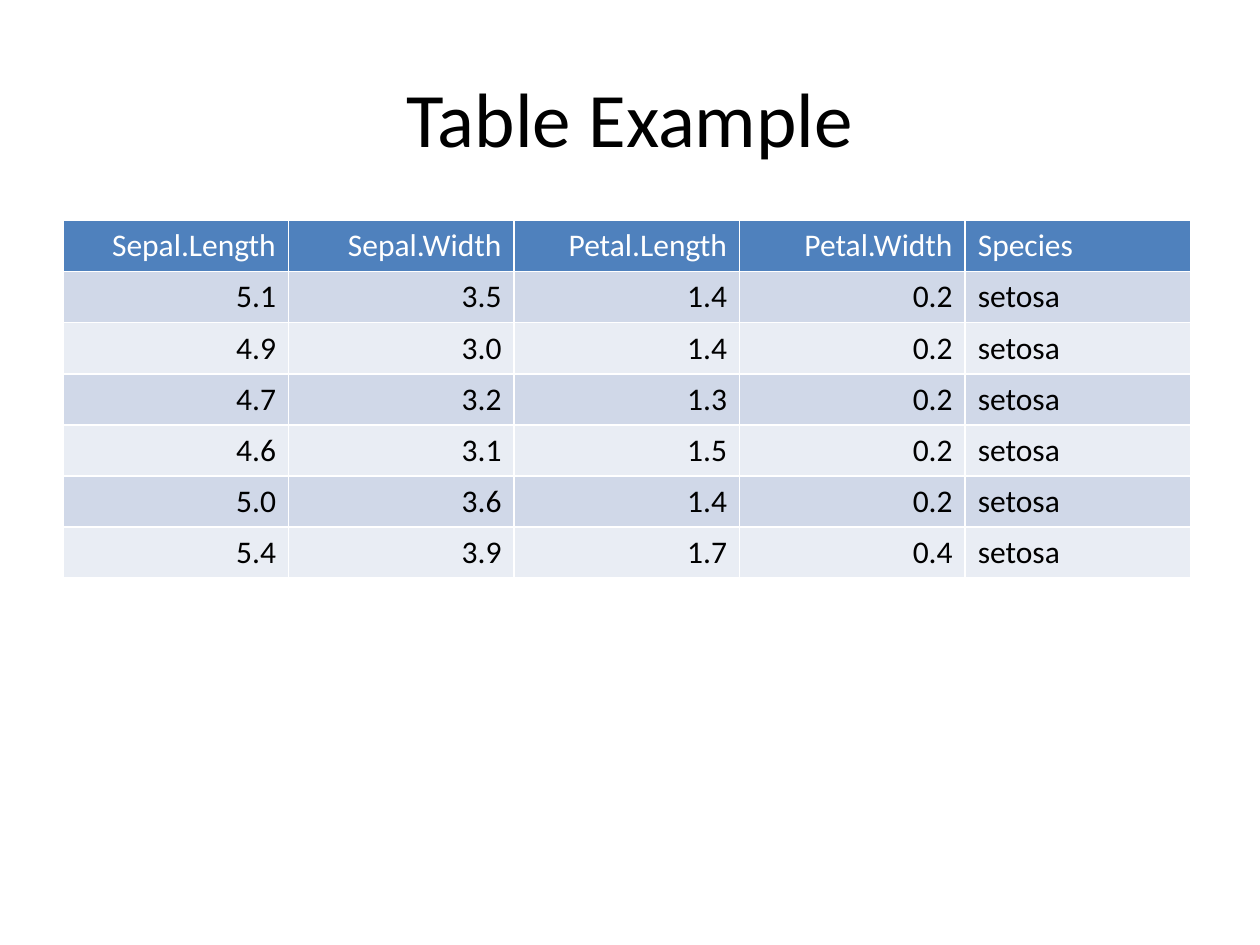
"""Build a slide with a title and a banded table of flower measurements."""
from lxml.etree import SubElement
from pptx import Presentation
from pptx.dml.color import RGBColor
from pptx.enum.text import MSO_ANCHOR, PP_ALIGN
from pptx.oxml.ns import qn
from pptx.util import Pt

WHITE = RGBColor(0xFF, 0xFF, 0xFF)
BLACK = RGBColor(0x00, 0x00, 0x00)
HEADER_BLUE = RGBColor(0x4F, 0x81, 0xBD)
BANDS = (RGBColor(0xE9, 0xED, 0xF4), RGBColor(0xD0, 0xD8, 0xE8))
FONT = "Calibri"

ROWS = (
    ("Sepal.Length", "Sepal.Width", "Petal.Length", "Petal.Width", "Species"),
    ("5.1", "3.5", "1.4", "0.2", "setosa"),
    ("4.9", "3.0", "1.4", "0.2", "setosa"),
    ("4.7", "3.2", "1.3", "0.2", "setosa"),
    ("4.6", "3.1", "1.5", "0.2", "setosa"),
    ("5.0", "3.6", "1.4", "0.2", "setosa"),
    ("5.4", "3.9", "1.7", "0.4", "setosa"),
)


def write_text(frame, text, size, color, align):
    """Write one run into the first paragraph of a text frame."""
    para = frame.paragraphs[0]
    para.alignment = align
    span = para.add_run()
    span.text = text
    span.font.name = FONT
    span.font.size = Pt(size)
    span.font.bold = False
    span.font.color.rgb = color


def add_borders(cell, color, width):
    """Draw a solid line on all four sides of a cell."""
    properties = cell._tc.get_or_add_tcPr()
    for position, side in enumerate(("lnL", "lnR", "lnT", "lnB")):
        line = properties.makeelement(qn(f"a:{side}"), {"w": str(Pt(width))})
        fill = SubElement(line, qn("a:solidFill"))
        SubElement(fill, qn("a:srgbClr"), {"val": str(color)})
        properties.insert(position, line)


def add_title(page, text, left, top, width, height):
    """Place the centred title in its box."""
    box = page.shapes.add_textbox(Pt(left), Pt(top), Pt(width), Pt(height))
    frame = box.text_frame
    frame.word_wrap = True
    frame.vertical_anchor = MSO_ANCHOR.MIDDLE
    write_text(frame, text, 44, BLACK, PP_ALIGN.CENTER)


def add_data_table(page, rows, left, top, width, row_height):
    """Place the table with a header, banded rows and a left-aligned last column."""
    column_count = len(rows[0])
    table = page.shapes.add_table(
        len(rows), column_count, Pt(left), Pt(top), Pt(width), Pt(row_height * len(rows))
    ).table
    for column in table.columns:
        column.width = Pt(width / column_count)
    for row_index, values in enumerate(rows):
        is_header = row_index == 0
        table.rows[row_index].height = Pt(row_height)
        for column_index, value in enumerate(values):
            cell = table.cell(row_index, column_index)
            cell.fill.solid()
            cell.fill.fore_color.rgb = HEADER_BLUE if is_header else BANDS[row_index % 2]
            add_borders(cell, WHITE, 1)
            is_last = column_index == column_count - 1
            align = PP_ALIGN.LEFT if is_last else PP_ALIGN.RIGHT
            write_text(cell.text_frame, value, 18, WHITE if is_header else BLACK, align)


deck = Presentation()
deck.slide_width, deck.slide_height = Pt(720), Pt(540)
page = deck.slides.add_slide(deck.slide_layouts[6])
add_title(page, "Table Example", 36, 21.6, 648, 90)
add_data_table(page, ROWS, 36, 126, 644.5, 29.2)
deck.save("out.pptx")
